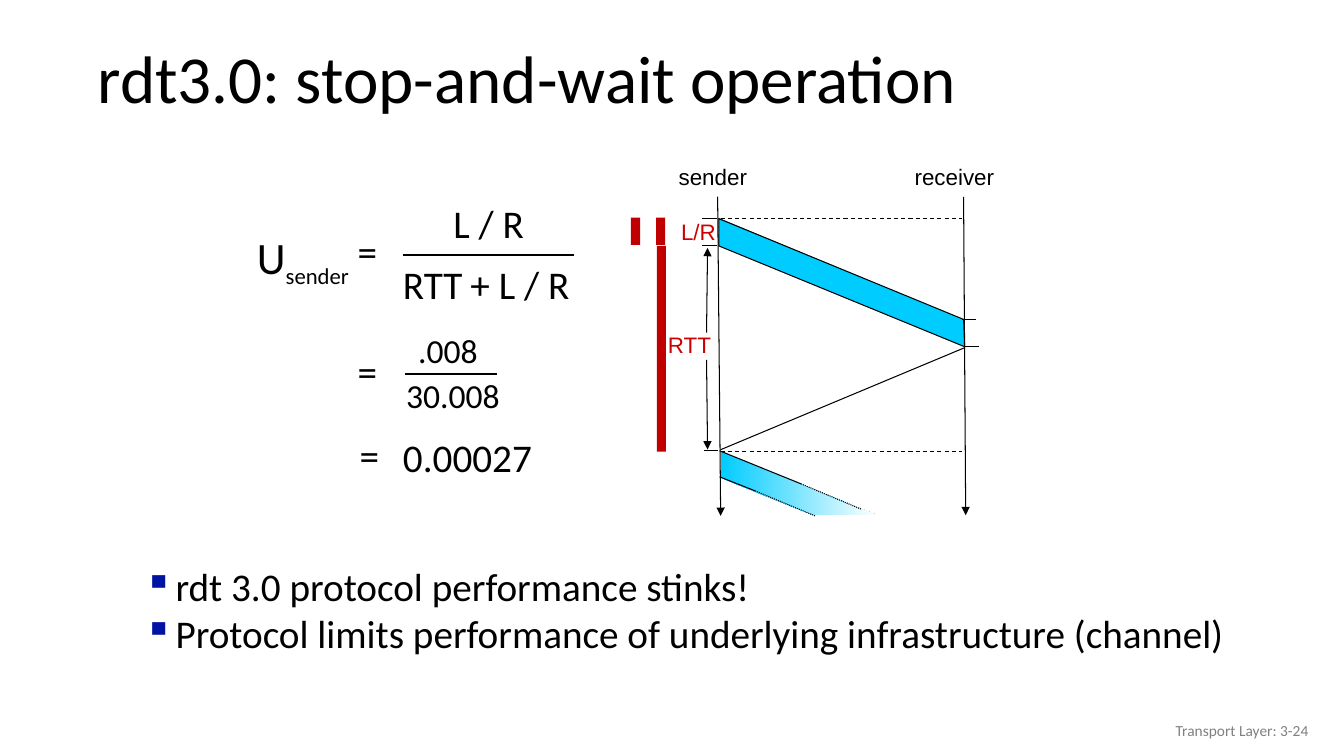
from lxml.etree import SubElement
from pptx import Presentation
from pptx.dml.color import RGBColor
from pptx.enum.dml import MSO_LINE
from pptx.enum.shapes import MSO_CONNECTOR, MSO_SHAPE
from pptx.enum.text import MSO_ANCHOR, PP_ALIGN
from pptx.oxml.ns import qn
from pptx.util import Pt

COLORS = {
    "black": "000000", "white": "FFFFFF", "packet": "00CCFF", "bar": "C00000",
    "delay": "CC0000", "bullet": "0013A3", "footer": "808080",
}


def rgb(name):
    return RGBColor.from_string(COLORS[name])


# Shared drawing helpers
def style(paragraph, size, color="black", font="Calibri", align=PP_ALIGN.LEFT):
    paragraph.font.size = Pt(size)
    paragraph.font.name = font
    paragraph.font.color.rgb = rgb(color)
    paragraph.alignment = align


def add_text(slide, box, text, size, wrap=True, anchor=MSO_ANCHOR.TOP, **look):
    frame = slide.shapes.add_textbox(*map(Pt, box)).text_frame
    frame.word_wrap = wrap
    frame.vertical_anchor = anchor
    frame.text = text
    for paragraph in frame.paragraphs:
        style(paragraph, size, **look)
    return frame


def add_line(slide, start, end, width=0.75, dash=None, arrow=False):
    line = slide.shapes.add_connector(
        MSO_CONNECTOR.STRAIGHT, *map(Pt, (*start, *end)))
    line.line.color.rgb = rgb("black")
    line.line.width = Pt(width)
    if dash:
        line.line.dash_style = dash
    if arrow:
        SubElement(line.line._get_or_add_ln(), qn("a:tailEnd"), type="triangle")
    SubElement(line._element.spPr, qn("a:effectLst"))


def add_block(slide, box, color):
    block = slide.shapes.add_shape(MSO_SHAPE.RECTANGLE, *map(Pt, box))
    block.shadow.inherit = False
    block.fill.solid()
    block.fill.fore_color.rgb = rgb(color)
    block.line.fill.background()
    return block


def add_outline(slide, points):
    corners = [tuple(map(Pt, point)) for point in points]
    builder = slide.shapes.build_freeform(*corners[0], scale=1.0)
    builder.add_line_segments(corners[1:], close=True)
    outline = builder.convert_to_shape()
    outline.shadow.inherit = False
    return outline


# Title
def add_title(slide, box):
    frame = add_text(slide, box, "rdt3.0: stop-and-wait operation", 48,
                     anchor=MSO_ANCHOR.MIDDLE)
    frame.paragraphs[0].line_spacing = 0.9


# Sender utilization, worked out in three steps
def add_utilization(slide, left, top):
    def term(x, y, width, text, size=28):
        box = (left + x, top + y, width, size * 1.45)
        return add_text(slide, box, text, size, wrap=False)

    def fraction_bar(x1, x2, y, width):
        add_line(slide, (left + x1, top + y), (left + x2, top + y), width)

    utilization = term(0.4, 22.6, 87.8, "U", 32).paragraphs[0]
    subscript = utilization.add_run()
    subscript.text = "sender"
    subscript.font.size = Pt(28)
    subscript._r.get_or_add_rPr().set("baseline", "-25000")

    for x, y in ((72.4, 21.1), (72.4, 106.8), (73.8, 166.6)):
        term(x, y, 28.8, "=")

    term(140.8, 1, 65.5, "L / R")
    fraction_bar(112, 233.7, 44.2, 1.75)
    term(104.8, 44.2, 57.6, "RTT")
    term(153, 44.2, 86.4, "+ L / R")

    term(115.6, 93.8, 57.6, ".008", 24)
    fraction_bar(113.4, 179, 129.1, 1.5)
    term(107, 126.2, 82.1, "30.008", 24)

    term(104.8, 168, 108, "0.00027")


# Timing diagram between sender and receiver
def add_timing(slide, left, top):
    sender, receiver = 64, 239
    sent, sent_end, arrived, arrived_end, acked = 44.2, 63.7, 116.2, 135.7, 210
    bottom = 256

    def at(x, y):
        return left + x, top + y

    def line(x1, y1, x2, y2, **look):
        add_line(slide, at(x1, y1), at(x2, y2), **look)

    # Time axes and their names
    line(sender - 0.6, sent, receiver, arrived + 1)
    line(62.6, 27.7, 64.8, bottom + 0.5, arrow=True)
    line(238.3, 28.4, 239.8, bottom, arrow=True)
    for x, width, host in ((20.9, 69.8, "sender"), (193, 74.2, "receiver")):
        name = add_block(slide, (*at(x, 1), width, 27.4), "white").text_frame
        name.vertical_anchor = MSO_ANCHOR.TOP
        name.text = host
        style(name.paragraphs[0], 16, font="Arial", align=PP_ALIGN.RIGHT)

    # Time levels and acknowledgement
    for y in (sent, acked + 0.6):
        line(64.8, y, 237.2, y, dash=MSO_LINE.DASH)
    line(64.8, acked - 0.8, receiver, arrived_end + 0.7)

    # First packet
    packet = add_outline(slide, [
        at(63.4, sent), at(238.3, arrived), at(239, arrived_end),
        at(63.4, sent_end)])
    packet.fill.solid()
    packet.fill.fore_color.rgb = rgb("packet")
    packet.line.color.rgb = rgb("black")
    packet.line.width = Pt(0.75)

    # Ticks
    for x, y in ((51.8, sent), (51.8, sent_end), (52.6, acked),
                 (237, arrived), (239, arrived_end)):
        line(x, y, x + 10.4, y)

    # Second packet, fading out
    fading = add_outline(slide, [
        at(64.8, acked + 0.6), at(176.4, bottom), at(131, bottom),
        at(64.8, 229.3)])
    fading.fill.gradient()
    fading.fill.gradient_angle = 0
    for stop, position, color in zip(fading.fill.gradient_stops, (0, 1),
                                     ("packet", "white")):
        stop.position = position
        stop.color.rgb = rgb(color)
    fading.line.fill.background()
    for start, middle, end in (
            ((sender, acked), (122.2, 233.6), (164.9, 251.6)),
            ((sender, 228.6), (89.3, 238.6), (132.5, 256.6))):
        line(*start, *middle)
        line(*middle, *end, dash=MSO_LINE.ROUND_DOT)

    # Round-trip and transmission delays
    delay_look = dict(color="delay", font="Arial", align=PP_ALIGN.RIGHT)
    round_trip = add_text(slide, (*at(0.7, 121.3), 67, 26.6), "RTT", 16,
                          **delay_look)
    gap = round_trip.paragraphs[0].add_run()
    gap.text = " "
    gap.font.size = Pt(10)
    add_text(slide, (*at(1.4, 40.6), 67, 26.6), "L/R", 16, **delay_look)
    line(54.7, 145, 55.4, 209.1, arrow=True)
    line(54.7, 125.6, 55.4, 65.1, arrow=True)
    for x, y, height in ((19.2, sent_end, 146.9), (18.7, 43.5, 19.4),
                         (0.7, 43.5, 19.4)):
        add_block(slide, (*at(x, y), 6.5, height), "bar")


# Conclusions
def add_conclusions(slide, box):
    frame = add_text(
        slide, box,
        "rdt 3.0 protocol performance stinks!\n"
        "Protocol limits performance of underlying infrastructure (channel)", 28)
    for paragraph in frame.paragraphs:
        properties = paragraph._p.get_or_add_pPr()
        properties.set("marL", str(Pt(22.5)))
        properties.set("indent", str(-Pt(22.5)))
        bullet_color = properties.makeelement(qn("a:buClr"), {})
        SubElement(bullet_color, qn("a:srgbClr"), val=COLORS["bullet"])
        bullet = properties.makeelement(qn("a:buChar"), {"char": "▪"})
        properties.insert(0, bullet_color)
        properties.insert(1, bullet)


# Footer
def add_footer(slide, box):
    add_text(slide, box, "Transport Layer: 3-24", 11, color="footer",
             anchor=MSO_ANCHOR.MIDDLE, align=PP_ALIGN.RIGHT)


def main():
    deck = Presentation()
    deck.slide_width, deck.slide_height = Pt(960), Pt(540)
    slide = deck.slides.add_slide(deck.slide_layouts[6])
    add_title(slide, (62.6, 23, 874, 70.6))
    add_timing(slide, 450, 112)
    add_utilization(slide, 176, 138)
    add_conclusions(slide, (95.8, 398.2, 802.8, 97.2))
    add_footer(slide, (725.8, 507.6, 216, 28.8))
    deck.save("out.pptx")


if __name__ == "__main__":
    main()
